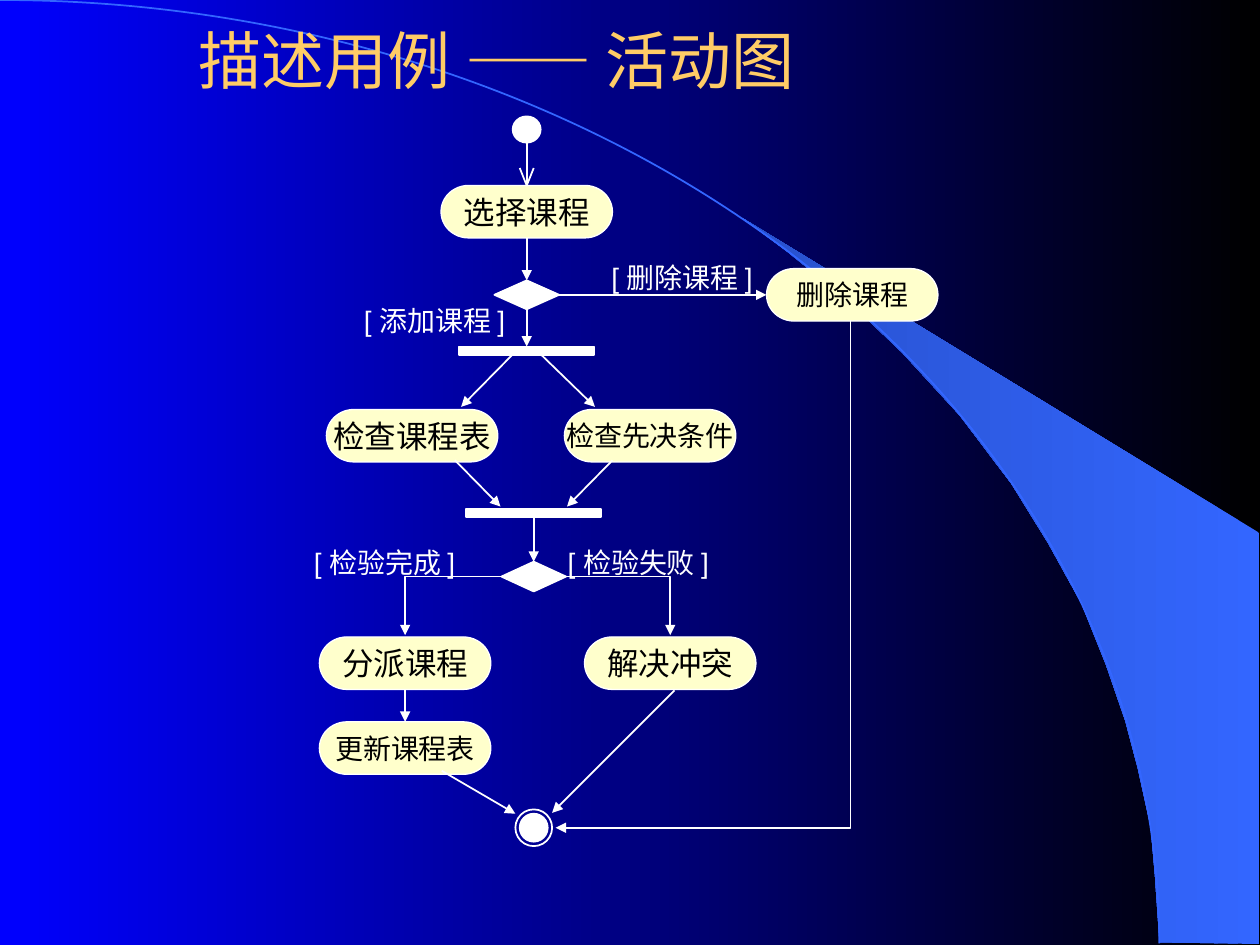
from lxml import etree
from pptx import Presentation
from pptx import util as u
from pptx.dml.color import RGBColor
from pptx.enum import shapes as kinds
from pptx.enum import text as tx
from pptx.oxml.ns import qn

COLORS = {
    "black": "000000", "blue": "0000FF", "sweep": "3366FF", "sweep_dark": "2851CC",
    "title": "FFCC66", "activity": "FFFFCC", "white": "FFFFFF",
}
FONT = "Arial"
MAIN_X, JOIN_X, ASSIGN_X, RESOLVE_X = 301, 305, 231.5, 383
ACTIVITY_SIZE = (98, 30)
TOP, LEFT, BOTTOM, RIGHT = range(4)


def color(name):
    return RGBColor.from_string(COLORS[name])


def gradient(fill, first, last):
    fill.gradient()
    fill.gradient_angle = 180
    for stop, name in zip(fill.gradient_stops, (first, last)):
        stop.color.rgb = color(name)


def outline(item, name="white", width=1):
    item.line.color.rgb = color(name)
    item.line.width = u.Pt(width)


def arrowhead(item):
    etree.SubElement(item.line._get_or_add_ln(), qn("a:tailEnd"), type="triangle")


def write(frame, words, size, name):
    """Put one centred, unwrapped line into a text frame without margins."""
    frame.margin_left = frame.margin_right = frame.margin_top = frame.margin_bottom = 0
    frame.word_wrap = False
    line = frame.paragraphs[0]
    line.alignment = tx.PP_ALIGN.CENTER
    run = line.add_run()
    run.text = words
    run.font.size = u.Pt(size)
    run.font.name = FONT
    run.font.color.rgb = color(name)


def node(slide, kind, center, size, fill="white", line_width=1):
    (x, y), (w, h) = center, size
    shape = slide.shapes.add_shape(kind, u.Pt(x - w / 2), u.Pt(y - h / 2), u.Pt(w), u.Pt(h))
    shape.shadow.inherit = False
    if fill:
        shape.fill.solid()
        shape.fill.fore_color.rgb = color(fill)
    else:
        shape.fill.background()
    outline(shape, width=line_width)
    return shape


def activity(slide, words, center, size):
    shape = node(slide, kinds.MSO_SHAPE.FLOWCHART_TERMINATOR, center, ACTIVITY_SIZE,
                 "activity", 0.75)
    shape.text_frame.vertical_anchor = tx.MSO_ANCHOR.MIDDLE
    write(shape.text_frame, words, size, "black")
    return shape


def guard(slide, words, left, top):
    box = slide.shapes.add_textbox(u.Pt(left), u.Pt(top), u.Pt(88.5), u.Pt(19.5))
    write(box.text_frame, words, 16, "white")


def straight(slide, begin=(0, 0), end=(0, 0), head=True):
    points = [u.Pt(v) for v in (*begin, *end)]
    flow = slide.shapes.add_connector(kinds.MSO_CONNECTOR.STRAIGHT, *points)
    etree.SubElement(flow._element.spPr, qn("a:effectLst"))
    outline(flow)
    if head:
        arrowhead(flow)
    return flow


def joined(slide, source, source_side, target, target_side):
    flow = straight(slide)
    flow.begin_connect(source, source_side)
    flow.end_connect(target, target_side)


def polyline(slide, points, close=False):
    start, *rest = [(u.Pt(x), u.Pt(y)) for x, y in points]
    builder = slide.shapes.build_freeform(*start)
    builder.add_line_segments(rest, close=close)
    shape = builder.convert_to_shape()
    shape.shadow.inherit = False
    return shape


def open_path(slide, points, head=True):
    path = polyline(slide, points)
    path.fill.background()
    outline(path)
    if head:
        arrowhead(path)


def backdrop(slide):
    gradient(slide.background.fill, "black", "blue")
    sweep = polyline(slide, [
        (662.5, 538.5), (719.5, 539.5), (719.5, 304.5), (424, 124.5), (449.5, 143.5),
        (470, 160), (493, 180), (515.5, 201.5), (548.5, 237.5), (578, 276.5),
        (599, 310.5), (618, 345), (632, 380), (643, 412), (650, 438.5),
        (657.5, 472.5), (660, 501)], close=True)
    gradient(sweep.fill, "sweep", "sweep_dark")
    sweep.line.fill.background()
    arc = node(slide, kinds.MSO_SHAPE.ARC, (0, 539), (1325, 1078), None)
    outline(arc, "sweep")


def heading(slide, words):
    title = slide.shapes.title
    title.left, title.top, title.width, title.height = map(u.Pt, (14.5, 20, 538.5, 28))
    title.text_frame.vertical_anchor = tx.MSO_ANCHOR.MIDDLE
    write(title.text_frame, words, 36, "title")
    # The title lies above the backdrop.
    title.element.getparent().append(title.element)


def activity_diagram(slide):
    shape = kinds.MSO_SHAPE
    node(slide, shape.OVAL, (MAIN_X, 74), (16, 15))
    choose = activity(slide, "选择课程", (MAIN_X, 121), 18)
    action = node(slide, shape.DIAMOND, (MAIN_X, 168.5), (37, 16.5))
    delete = activity(slide, "删除课程", (487, 168.5), 16)
    fork = node(slide, shape.RECTANGLE, (MAIN_X, 200.5), (77, 5))
    activity(slide, "检查课程表", (235.5, 249), 18)
    activity(slide, "检查先决条件", (371.5, 249), 16)
    join = node(slide, shape.RECTANGLE, (JOIN_X, 293), (77, 4.5))
    result = node(slide, shape.DIAMOND, (JOIN_X, 329.5), (37, 17))
    assign = activity(slide, "分派课程", (ASSIGN_X, 379), 18)
    activity(slide, "解决冲突", (RESOLVE_X, 379), 18)
    update = activity(slide, "更新课程表", (ASSIGN_X, 427.5), 16)
    node(slide, shape.OVAL, (JOIN_X, 473), (21, 21), None)
    node(slide, shape.OVAL, (JOIN_X, 473), (16, 16))

    straight(slide, (MAIN_X, 81.5), (MAIN_X, 106), head=False).end_connect(choose, TOP)
    open_path(slide, [(MAIN_X - 4, 96), (MAIN_X, 106), (MAIN_X + 4, 96)], head=False)
    joined(slide, choose, BOTTOM, action, TOP)
    joined(slide, action, RIGHT, delete, LEFT)
    joined(slide, action, BOTTOM, fork, TOP)
    joined(slide, join, BOTTOM, result, TOP)
    joined(slide, assign, BOTTOM, update, TOP)

    for begin, end in [
        ((294.5, 201), (263.5, 232.5)), ((308, 201.5), (340, 232.5)),
        ((260, 263), (286, 289.5)), ((350, 263), (324, 289.5)),
        ((252.5, 440.5), (294.5, 465)), ((385.5, 394.5), (315.5, 464.5)),
    ]:
        straight(slide, begin, end)

    open_path(slide, [(486, 183), (486, 473), (317.5, 473)])
    for begin_x, branch_x in ((286, ASSIGN_X), (324, RESOLVE_X)):
        open_path(slide, [(begin_x, 329.5), (branch_x, 329.5), (branch_x, 363)])

    guard(slide, "[ 删除课程 ]", 345.5, 149)
    guard(slide, "[ 添加课程 ]", 204, 173.5)
    guard(slide, "[ 检验完成 ]", 175.5, 312)
    guard(slide, "[ 检验失败 ]", 320.5, 312)


def main():
    deck = Presentation()
    deck.slide_width, deck.slide_height = u.Pt(720), u.Pt(540)
    slide = deck.slides.add_slide(deck.slide_layouts[5])
    backdrop(slide)
    heading(slide, "描述用例 —— 活动图")
    activity_diagram(slide)
    deck.save("out.pptx")


if __name__ == "__main__":
    main()
